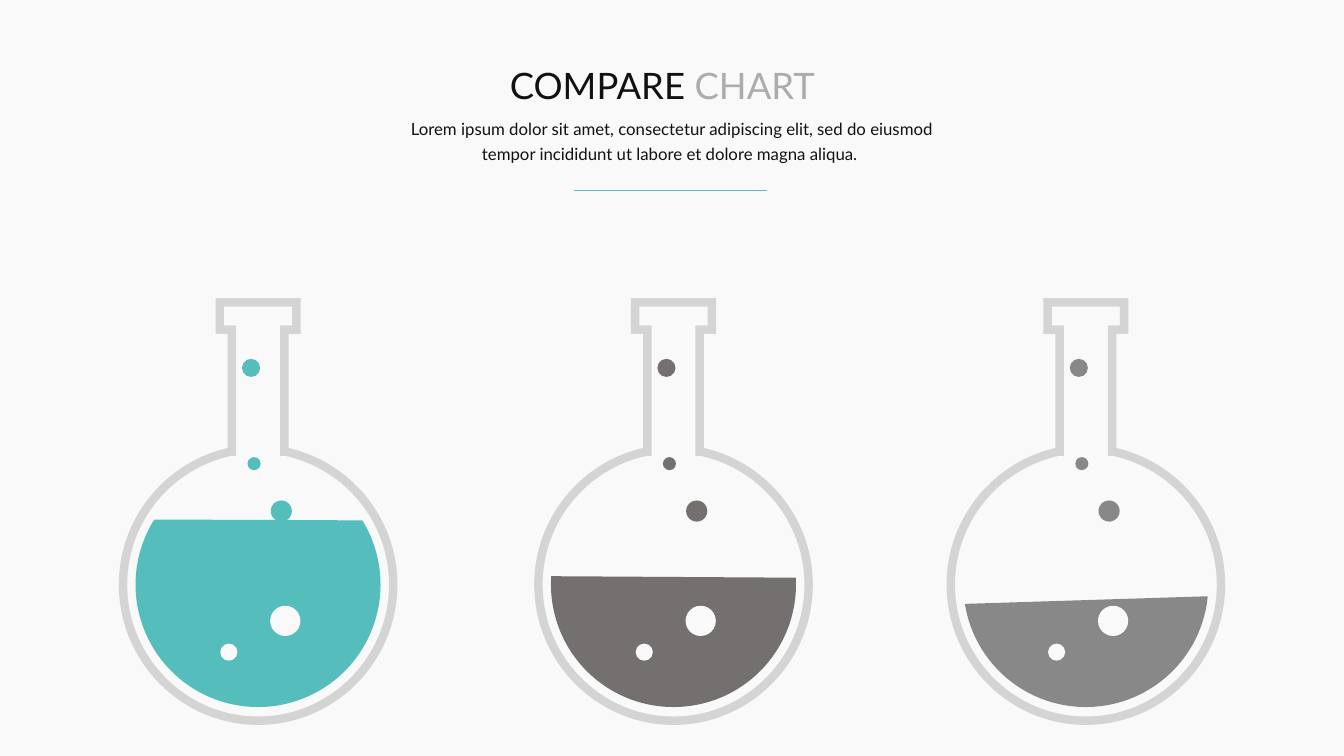
from lxml.etree import SubElement
from pptx import Presentation
from pptx.dml.color import RGBColor
from pptx.enum.shapes import MSO_CONNECTOR, MSO_SHAPE
from pptx.enum.text import MSO_ANCHOR, MSO_AUTO_SIZE, PP_ALIGN
from pptx.oxml.ns import qn
from pptx.util import Inches, Pt

WIDE, HIGH = 13.33, 7.5
PAPER = RGBColor(0xF9, 0xF9, 0xF9)
INK = RGBColor(0x11, 0x11, 0x11)
PALE = RGBColor(0xAE, 0xAB, 0xAB)
GLASS = RGBColor(0xD4, 0xD4, 0xD4)
TEAL = RGBColor(0x56, 0xBD, 0xBD)
BROWN = RGBColor(0x75, 0x70, 0x70)
GRAY = RGBColor(0x88, 0x88, 0x88)

TITLE = [("COMPARE ", INK), ("CHART", PALE)]
INTRO = [("Lorem ipsum dolor sit amet, consectetur adipiscing elit, "
          "sed do eiusmod tempor incididunt ut labore et dolore magna aliqua. ", INK)]
FLASKS = [
    {"axis": 2.56, "color": TEAL, "right": 328.37, "left": 212.08},
    {"axis": 6.68, "color": BROWN, "right": 356.78, "left": 183.93},
    {"axis": 10.77, "color": GRAY, "right": 5.48, "left": 170.92},
]
BUBBLES = [
    (0.23, 5.07, 0.21, True), (-0.04, 4.6, 0.13, True), (-0.07, 3.65, 0.18, True),
    (0.27, 6.16, 0.3, False), (-0.29, 6.47, 0.17, False),
]
MID, POOL = 5.8, 1.215
NECK = [(0.38, 3), (0.38, 3.27), (0.26, 3.27), (0.26, 4.48), (0.27, 4.48)]
BULB = [(0.88, 4.61), (1.34, 5.15), (1.34, 5.8), (1.34, 6.54), (0.74, 7.15), (0, 7.15)]


def write(box, place, runs, size, space, wrap):
    box.left, box.top, box.width, box.height = map(Inches, place)
    frame = box.text_frame
    looks = {"margin_left": 0, "margin_right": 0, "margin_top": 0, "margin_bottom": 0,
             "word_wrap": wrap, "vertical_anchor": MSO_ANCHOR.TOP,
             "auto_size": MSO_AUTO_SIZE.SHAPE_TO_FIT_TEXT}
    for key, value in looks.items():
        setattr(frame, key, value)
    line = frame.paragraphs[0]
    line.alignment, line.line_spacing = PP_ALIGN.CENTER, space
    for text, color in runs:
        run = line.add_run()
        run.text = text
        for key, value in {"name": "Lato", "size": Pt(size), "bold": False}.items():
            setattr(run.font, key, value)
        run.font.color.rgb = color


def disc(group, kind, x, y, size, color):
    shape = group.shapes.add_shape(kind, Inches(x - size / 2), Inches(y - size / 2),
                                   Inches(size), Inches(size))
    shape.shadow.inherit = False
    shape.fill.solid()
    shape.fill.fore_color.rgb = color
    shape.line.fill.background()
    return shape


def bend(shape, first, count):
    lines = list(shape._element.iter(qn("a:lnTo")))[first:first + 3 * count]
    for i in range(0, len(lines), 3):
        curve = lines[i].makeelement(qn("a:cubicBezTo"))
        lines[i].addprevious(curve)
        for line in lines[i:i + 3]:
            curve.append(line[0])
            line.getparent().remove(line)


def glass(group, axis):
    half = NECK + BULB
    rim = half + [(-x, y) for x, y in reversed(half[:-1])]
    spots = [(Inches(axis + x), Inches(y)) for x, y in rim]
    pen = group.shapes.build_freeform(*spots[0], scale=1.0)
    pen.add_line_segments(spots[1:], close=True)
    shape = pen.convert_to_shape()
    bend(shape, len(NECK) - 1, 4)
    shape.shadow.inherit = False
    shape.fill.background()
    shape.line.color.rgb = GLASS
    shape.line.width = Pt(6)
    SubElement(shape.line._get_or_add_ln(), qn("a:miter"), lim="800000")


def flask(slide, axis, color, right, left):
    group = slide.shapes.add_group_shape()
    pool = disc(group, MSO_SHAPE.CHORD, axis, MID, 2 * POOL, color)
    for i, angle in enumerate((right, left)):
        pool.adjustments[i] = angle * 0.6
    glass(group, axis)
    for shift, y, size, tinted in BUBBLES:
        disc(group, MSO_SHAPE.OVAL, axis + shift, y, size, color if tinted else PAPER)


def main():
    deck = Presentation()
    deck.slide_width, deck.slide_height = Inches(WIDE), Inches(HIGH)
    slide = deck.slides.add_slide(deck.slide_layouts[5])
    slide.background.fill.solid()
    slide.background.fill.fore_color.rgb = PAPER
    for item in FLASKS:
        flask(slide, **item)
    write(slide.shapes.title, (5.01, 0.63, 3.12, 0.44), TITLE, 26, 1.0, False)
    intro = slide.shapes.add_textbox(0, 0, 0, 0)
    write(intro, (3.87, 1.13, 5.59, 0.5), INTRO, 12, 1.25, True)
    rule = slide.shapes.add_connector(MSO_CONNECTOR.STRAIGHT, Inches(5.69), Inches(1.89),
                                      Inches(7.61), Inches(1.89))
    rule.line.color.rgb = TEAL
    rule.line.width = Pt(0.5)
    SubElement(rule._element.spPr, qn("a:effectLst"))
    deck.save("out.pptx")


if __name__ == "__main__":
    main()
